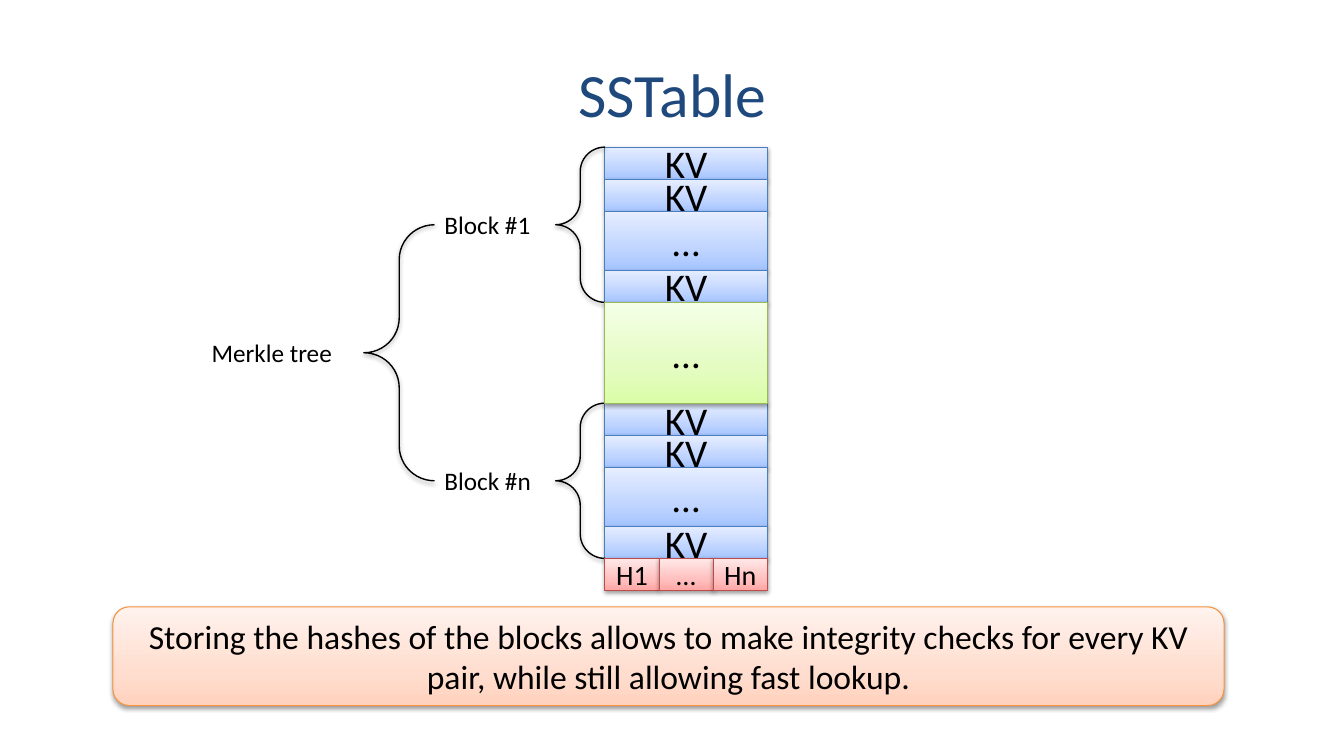
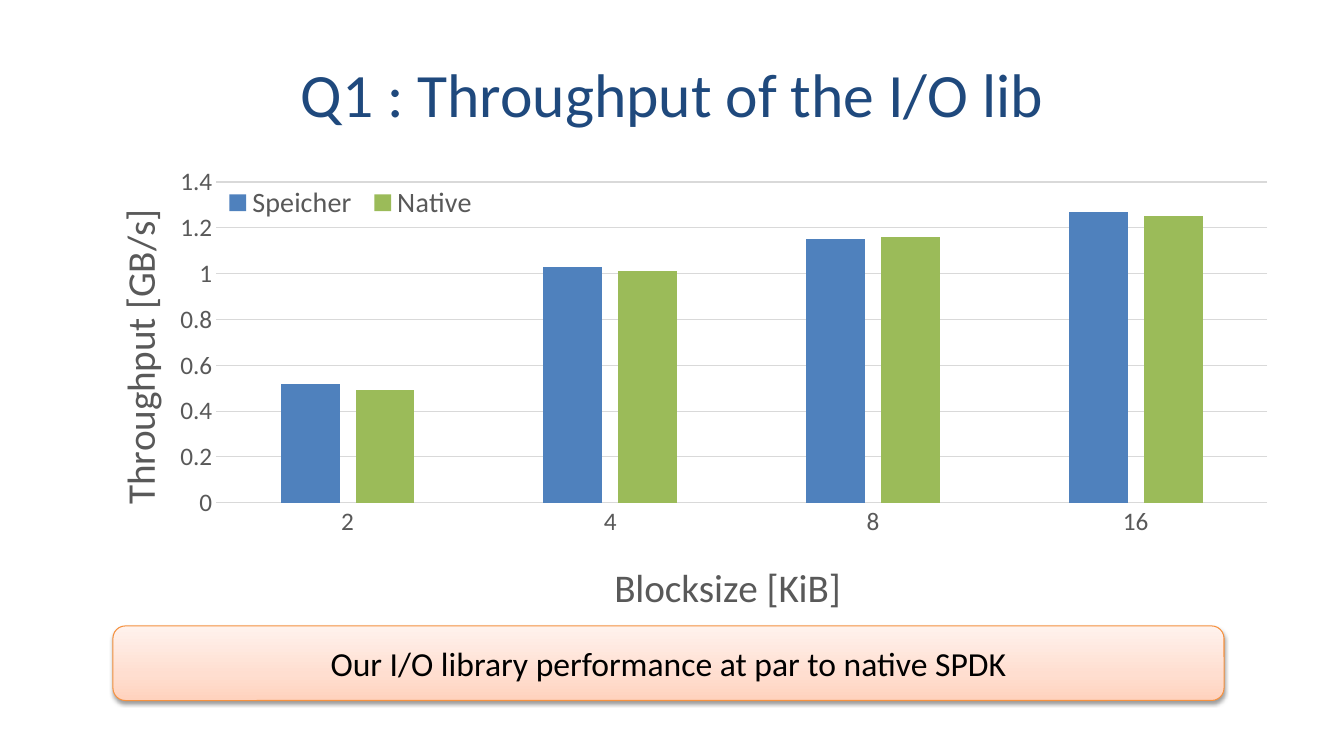
from copy import deepcopy

from lxml import etree
from pptx import Presentation
from pptx.chart.data import CategoryChartData
from pptx.dml.color import RGBColor
from pptx.enum.chart import XL_CHART_TYPE, XL_LEGEND_POSITION, XL_TICK_MARK
from pptx.enum.shapes import MSO_SHAPE
from pptx.enum.text import MSO_ANCHOR, PP_ALIGN
from pptx.oxml import parse_xml
from pptx.oxml.ns import nsdecls, qn
from pptx.util import Inches, Pt

FONT = "Calibri"
BLACK = RGBColor(0x00, 0x00, 0x00)
NAVY = RGBColor(0x1F, 0x49, 0x7D)
GRAY = RGBColor(0x59, 0x59, 0x59)
GRID_GRAY = RGBColor(0xD9, 0xD9, 0xD9)
SERIES_BLUE = RGBColor(0x4F, 0x81, 0xBD)
SERIES_GREEN = RGBColor(0x9B, 0xBB, 0x59)

# Each style is an outline colour and the gradient colours from bottom to top.
BLUE = (RGBColor(0x4B, 0x7E, 0xBC),
        (RGBColor(0xA4, 0xC4, 0xFF), RGBColor(0xBF, 0xD4, 0xFF), RGBColor(0xE6, 0xEE, 0xFF)))
GREEN = (RGBColor(0x98, 0xB9, 0x55),
         (RGBColor(0xDA, 0xFD, 0xA7), RGBColor(0xE4, 0xFC, 0xC2), RGBColor(0xF5, 0xFF, 0xE7)))
RED = (RGBColor(0xBF, 0x4C, 0x48),
       (RGBColor(0xFF, 0xA6, 0xA5), RGBColor(0xFF, 0xC0, 0xBF), RGBColor(0xFF, 0xE7, 0xE7)))
ORANGE = (RGBColor(0xF6, 0x92, 0x40),
          (RGBColor(0xFF, 0xD2, 0xBD), RGBColor(0xFF, 0xDE, 0xD0), RGBColor(0xFF, 0xF2, 0xED)))
GRADIENT_POSITIONS = (0, 0.35, 1)

ROWS = (("KV", 0.32), ("KV", 0.32), ("…", 0.58), ("KV", 0.32))
BLOCK_HEIGHT = sum(height for _, height in ROWS)
LABEL_HEIGHT = 0.4


def format_font(font, size, color):
    font.name = FONT
    font.size = Pt(size)
    font.color.rgb = color


def write_text(text_frame, text, size=18, color=BLACK, align=PP_ALIGN.CENTER,
               anchor=MSO_ANCHOR.MIDDLE, space_before=0):
    text_frame.word_wrap = True
    text_frame.vertical_anchor = anchor
    paragraph = text_frame.paragraphs[0]
    paragraph.alignment = align
    paragraph.space_before = Pt(space_before)
    run = paragraph.add_run()
    run.text = text
    format_font(run.font, size, color)


def add_shadow(shape):
    shape.shadow.inherit = False
    effects = shape._element.spPr.find(qn("a:effectLst"))
    effects.append(parse_xml(
        f'<a:outerShdw {nsdecls("a")} blurRad="40000" dist="20000" dir="5400000" '
        'rotWithShape="0"><a:srgbClr val="000000"><a:alpha val="38000"/></a:srgbClr>'
        '</a:outerShdw>'))


def fill_gradient(shape, colors):
    shape.fill.gradient()
    shape.fill.gradient_angle = 90
    stop_list = shape._element.spPr.find(f'.//{qn("a:gsLst")}')
    stop_list.append(deepcopy(stop_list[0]))
    for stop, position, color in zip(shape.fill.gradient_stops, GRADIENT_POSITIONS, colors):
        stop.position = position
        stop.color.rgb = color


def add_box(slide, left, top, width, height, text, style, size=28,
            preset=MSO_SHAPE.RECTANGLE, space_before=None):
    """Add a gradient box; its text is lowered by a fifth of its size by default."""
    shape = slide.shapes.add_shape(
        preset, Inches(left), Inches(top), Inches(width), Inches(height))
    outline, colors = style
    fill_gradient(shape, colors)
    shape.line.color.rgb = outline
    shape.line.width = Pt(0.75)
    add_shadow(shape)
    write_text(shape.text_frame, text, size=size,
               space_before=size * 0.2 if space_before is None else space_before)


def add_brace(slide, left, top, width, height):
    brace = slide.shapes.add_shape(
        MSO_SHAPE.LEFT_BRACE, Inches(left), Inches(top), Inches(width), Inches(height))
    brace.adjustments[0] = 0.495
    brace.fill.background()
    brace.line.color.rgb = BLACK
    brace.line.width = Pt(1)
    add_shadow(brace)


def add_label(slide, left, middle, width, text):
    box = slide.shapes.add_textbox(
        Inches(left), Inches(middle - LABEL_HEIGHT / 2), Inches(width), Inches(LABEL_HEIGHT))
    write_text(box.text_frame, text, align=PP_ALIGN.LEFT, anchor=MSO_ANCHOR.TOP)


def add_titled_slide(presentation, text):
    slide = presentation.slides.add_slide(presentation.slide_layouts[5])
    title = slide.shapes.title
    title.left, title.top = Inches(0.67), Inches(0.3)
    title.width, title.height = Inches(12), Inches(1.25)
    write_text(title.text_frame, text, size=44, color=NAVY)
    return slide


def add_takeaway(slide, top, height, text, space_before=0):
    add_box(slide, 1.12, top, 11.02, height, text, ORANGE, size=24,
            preset=MSO_SHAPE.ROUNDED_RECTANGLE, space_before=space_before)


def add_block(slide, left, top, width, label):
    """Stack the key-value rows and mark them with a brace and a label."""
    row_top = top
    for text, height in ROWS:
        add_box(slide, left, row_top, width, height, text, BLUE)
        row_top += height
    add_brace(slide, left - 0.49, top, 0.49, BLOCK_HEIGHT)
    add_label(slide, left - 1.69, top + BLOCK_HEIGHT / 2, 1.08, label)


def add_table_diagram(slide, left, top, width):
    gap = 1
    last_top = top + BLOCK_HEIGHT + gap
    add_block(slide, left, top, width, "Block #1")
    add_block(slide, left, last_top, width, "Block #n")
    add_box(slide, left, top + BLOCK_HEIGHT, width, gap, "…", GREEN)

    hashes = ("H1", "…", "Hn")
    hash_width = width / len(hashes)
    for index, text in enumerate(hashes):
        add_box(slide, left + index * hash_width, last_top + BLOCK_HEIGHT,
                hash_width, 0.32, text, RED, size=20)

    first_middle = top + BLOCK_HEIGHT / 2
    span = last_top - top
    add_brace(slide, left - 2.39, first_middle, 0.7, span)
    add_label(slide, left - 4, first_middle + span / 2, 1.45, "Merkle tree")


def place_chart_part(element, inner=False, **fractions):
    """Set a manual layout, with x, y, w and h as fractions of the chart."""
    for old in element.findall(qn("c:layout")):
        element.remove(old)
    layout = etree.Element(qn("c:layout"))
    manual = etree.SubElement(layout, qn("c:manualLayout"))
    settings = [("layoutTarget", "inner")] if inner else []
    settings += [("xMode", "edge"), ("yMode", "edge"), *fractions.items()]
    for name, value in settings:
        etree.SubElement(manual, qn(f"c:{name}")).set("val", str(value))
    leading = (qn("c:tx"), qn("c:legendPos"))
    element.insert(sum(child.tag in leading for child in element), layout)


def format_axis(axis, title, x, y, rotation):
    axis.major_tick_mark = axis.minor_tick_mark = XL_TICK_MARK.NONE
    format_font(axis.tick_labels.font, 18, GRAY)
    text_frame = axis.axis_title.text_frame
    run = text_frame.paragraphs[0].add_run()
    run.text = title
    format_font(run.font, 28, GRAY)
    run.font.bold = False
    text_frame._txBody.bodyPr.set("rot", str(rotation * 60000))
    text_frame._txBody.bodyPr.set("vert", "horz")
    place_chart_part(axis.axis_title._element, x=x, y=y)


def add_throughput_chart(slide, left, top, width, height):
    data = CategoryChartData()
    data.categories = ["2", "4", "8", "16"]
    data.add_series("Speicher", (0.52, 1.03, 1.15, 1.27))
    data.add_series("Native", (0.49, 1.01, 1.16, 1.25))
    chart = slide.shapes.add_chart(
        XL_CHART_TYPE.COLUMN_CLUSTERED, Inches(left), Inches(top),
        Inches(width), Inches(height), data).chart
    chart.has_title = False
    format_font(chart.font, 10, BLACK)

    plot = chart.plots[0]
    plot.gap_width = 219
    plot.overlap = -27
    plot.vary_by_categories = False
    for series, color in zip(plot.series, (SERIES_BLUE, SERIES_GREEN)):
        series.format.fill.solid()
        series.format.fill.fore_color.rgb = color
    plot_area = chart._chartSpace.chart.plotArea
    place_chart_part(plot_area, inner=True, x=0.12, y=0.05, w=0.86, h=0.62)

    format_axis(chart.category_axis, "Blocksize [KiB]", 0.44, 0.77, 0)
    format_axis(chart.value_axis, "Throughput [GB/s]", 0.03, 0.09, -90)
    value_axis = chart.value_axis
    value_axis.minimum_scale, value_axis.maximum_scale = 0, 1.4
    value_axis.major_unit = 0.2
    value_axis.format.line.fill.background()
    value_axis.has_major_gridlines = True
    for line in (chart.category_axis.format.line, value_axis.major_gridlines.format.line):
        line.color.rgb = GRID_GRAY
        line.width = Pt(0.75)

    chart.has_legend = True
    legend = chart.legend
    legend.position = XL_LEGEND_POSITION.BOTTOM
    legend.include_in_layout = False
    format_font(legend.font, 20, GRAY)
    place_chart_part(legend._element, x=0.12, y=0.05, w=0.22, h=0.08)


def main():
    presentation = Presentation()
    presentation.slide_width = Inches(13.33)
    presentation.slide_height = Inches(7.5)

    slide = add_titled_slide(presentation, "SSTable")
    add_table_diagram(slide, 6, 1.46, 1.61)
    add_takeaway(slide, 6.02, 0.98,
                 "Storing the hashes of the blocks allows to make integrity checks "
                 "for every KV pair, while still allowing fast lookup.")

    slide = add_titled_slide(presentation, "Q1 : Throughput of the I/O lib")
    add_throughput_chart(slide, 0.69, 1.55, 12.12, 5.13)
    add_takeaway(slide, 6.21, 0.74,
                 "Our I/O library performance at par to native SPDK", space_before=4.8)

    presentation.save("out.pptx")


if __name__ == "__main__":
    main()
